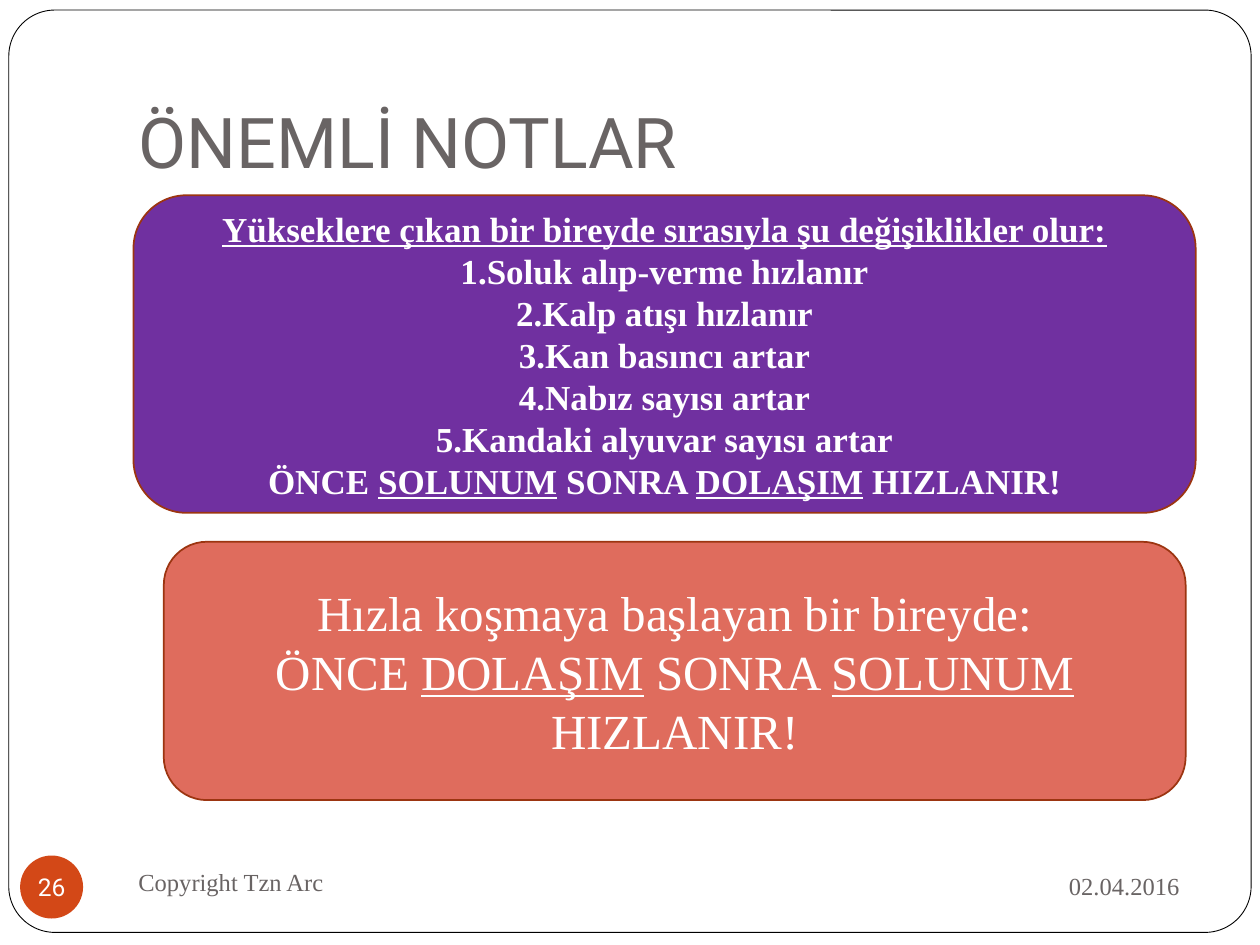
from dataclasses import dataclass
from pptx import Presentation
from pptx.dml.color import RGBColor as Rgb
from pptx.enum.shapes import MSO_SHAPE as Kind
from pptx.enum.text import MSO_ANCHOR as Anchor, MSO_AUTO_SIZE as Fit, PP_ALIGN as Align
from pptx.util import Emu, Pt

SCALE = 9144


@dataclass(frozen=True)
class Theme:
    serif: str = "Times New Roman"
    sans: str = "Roboto"
    white: str = "FFFFFF"
    black: str = "000000"
    gray: str = "696464"
    orange: str = "D34817"
    rust: str = "9C3511"
    purple: str = "7030A0"
    coral: str = "DF6C5D"
    head: int = 40
    large: int = 28
    mid: int = 20
    small: int = 14


def px(*vals):
    return [Emu(val * SCALE) for val in vals]


def apply(item, **vals):
    for name, val in vals.items():
        setattr(item, name, val)


class Page:
    def __init__(self, deck, theme):
        self.theme = theme
        self.slide = deck.slides.add_slide(deck.slide_layouts[5])

    def text(self, shape, lines, size, color, font=None, align=Align.CENTER,
             anchor=Anchor.MIDDLE, pad=(10, 5, 10, 5), wrap=True, bold=False):
        frame = shape.text_frame
        left, top, right, bottom = px(*pad)
        apply(frame, auto_size=Fit.NONE, word_wrap=wrap, vertical_anchor=anchor,
              margin_left=left, margin_top=top, margin_right=right, margin_bottom=bottom)
        for i, line in enumerate(lines):
            par = frame.add_paragraph() if i else frame.paragraphs[0]
            par.alignment = align
            for j, part in enumerate(line.split("_")):
                if part:
                    run = par.add_run()
                    run.text = part
                    apply(run.font, name=font or self.theme.serif, size=Pt(size),
                          bold=bold, underline=j % 2 == 1)
                    run.font.color.rgb = Rgb.from_string(color)

    def title(self, box, text):
        shape = self.slide.shapes.title
        left, top, width, height = px(*box)
        apply(shape, left=left, top=top, width=width, height=height)
        self.text(shape, [text], self.theme.head, self.theme.gray, self.theme.sans,
                  Align.LEFT, Anchor.BOTTOM, (10, 5, 10, 10))

    def label(self, box, text, align):
        shape = self.slide.shapes.add_textbox(*px(*box))
        self.text(shape, [text], self.theme.small, self.theme.gray, align=align)

    def shape(self, kind, box, fill, line=None, weight=1):
        shape = self.slide.shapes.add_shape(kind, *px(*box))
        shape.shadow.inherit = False
        shape.fill.solid()
        shape.fill.fore_color.rgb = Rgb.from_string(fill)
        if line:
            shape.line.color.rgb = Rgb.from_string(line)
            shape.line.width = Pt(weight)
        else:
            shape.line.fill.background()
        return shape

    def border(self, box):
        shape = self.shape(Kind.ROUNDED_RECTANGLE, box, self.theme.white, self.theme.black, 0.5)
        shape.adjustments[0] = 0.05
        self.slide.shapes.title.element.addprevious(shape.element)

    def badge(self, box, text):
        shape = self.shape(Kind.OVAL, box, self.theme.orange)
        self.text(shape, [text], self.theme.small, self.theme.white, self.theme.sans,
                  pad=(0, 0, 0, 0), wrap=False)

    def card(self, box, fill, lines, size, bold=False):
        shape = self.shape(Kind.ROUNDED_RECTANGLE, box, fill, self.theme.rust)
        self.text(shape, lines, size, self.theme.white, bold=bold)


def main():
    deck = Presentation()
    deck.slide_width, deck.slide_height = px(1000, 750)
    theme = Theme()
    page = Page(deck, theme)
    page.border((7, 8, 986, 732))
    page.title((100, 30, 850, 125), "ÖNEMLİ NOTLAR")
    page.label((675, 677, 271, 52), "02.04.2016", Align.RIGHT)
    page.label((100, 675, 433, 50), "Copyright Tzn Arc", Align.LEFT)
    page.badge((16, 679, 50, 50), "26")
    steps = ["Soluk alıp-verme hızlanır", "Kalp atışı hızlanır", "Kan basıncı artar",
             "Nabız sayısı artar", "Kandaki alyuvar sayısı artar"]
    page.card((106, 155, 843, 252), theme.purple, [
        "_Yükseklere çıkan bir bireyde sırasıyla şu değişiklikler olur:_",
        *(f"{n}.{step}" for n, step in enumerate(steps, 1)),
        "ÖNCE _SOLUNUM_ SONRA _DOLAŞIM_ HIZLANIR!",
    ], theme.mid, bold=True)
    page.card((130, 430, 811, 205), theme.coral, [
        "Hızla koşmaya başlayan bir bireyde:",
        "ÖNCE _DOLAŞIM_ SONRA _SOLUNUM _HIZLANIR!",
    ], theme.large)
    deck.save("out.pptx")


if __name__ == "__main__":
    main()
